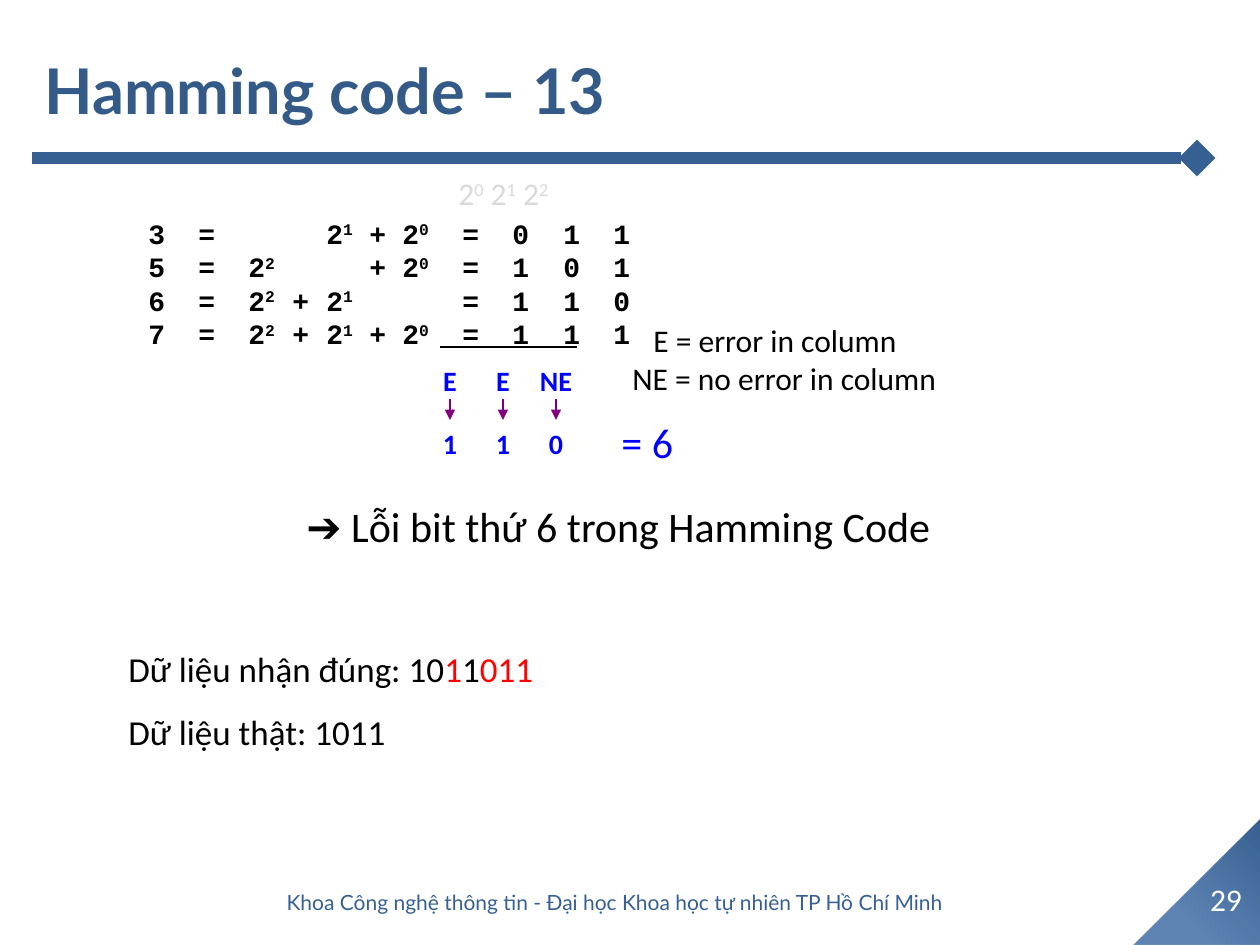
"""Build the slide that locates an error bit with a Hamming code."""
from lxml import etree
from pptx import Presentation
from pptx import util as u
from pptx.dml.color import RGBColor
from pptx.enum import shapes, text
from pptx.oxml import parse_xml
from pptx.oxml.ns import nsdecls, qn

SCALE = 914400 / 126
THEME = {
    "title": "345A88", "navy": "376092", "blue": "3D6CA4", "rule": "4477B5",
    "ink": "000000", "white": "FFFFFF", "pale": "D9D9D9", "result": "0000FF",
    "arrow": "800080", "parity": "FF0000",
    "body": "Calibri", "heading": "Lato", "mono": "Courier New",
    "huge": 36, "large": 24, "medium": 20, "normal": 18, "small": 16, "tiny": 12,
}

EQUATIONS = [
    ["3", "=", "", "", "2^1", "+", "2^0", "=", "0", "1", "1"],
    ["5", "=", "2^2", "", "", "+", "2^0", "=", "1", "0", "1"],
    ["6", "=", "2^2", "+", "2^1", "", "", "=", "1", "1", "0"],
    ["7", "=", "2^2", "+", "2^1", "+", "2^0", "=", "1", "1", "1"],
]
EQUATION_TABS = [50, 100, 144, 178, 221, 254, 314, 364, 415, 465]
CHECKS = [("E", "1"), ("E", "1"), ("NE", "0")]
CHECK_CENTER, CHECK_STEP, CHECK_WIDTH = 450, 53, 64
RECEIVED = [("Dữ liệu nhận đúng: 10", "ink"), ("1", "parity"), ("1", "ink"), ("011", "parity")]

TEXTS = [
    ((32, 10, 1206, 158), ["Hamming code – 13"],
     {"size": "huge", "font": "heading", "color": "title", "bold": True, "middle": True}),
    ((136, 210, 515, 147), ["\t".join(row) for row in EQUATIONS],
     {"size": "small", "font": "mono", "bold": True, "tabs": EQUATION_TABS}),
    ((609, 410, 84, 63), ["= 6"], {"size": "large", "color": "result"}),
    ((620, 315, 362, 89), ["E = error in column", "NE = no error in column"], {"indents": [21, 0]}),
    ((294, 494, 722, 63), ["➔ Lỗi bit thứ 6 trong Hamming Code"], {"size": "large"}),
    ((116, 620, 469, 132), [RECEIVED, "Dữ liệu thật: 1011"], {"size": "medium", "spacing": 1.5}),
    ((446, 168, 131, 50), ["2^0 2^1 2^2"], {"color": "pale"}),
    ((1192, 874, 68, 50), ["29"], {"color": "white", "center": True, "middle": True}),
    ((158, 877, 914, 50), ["Khoa Công nghệ thông tin - Đại học Khoa học tự nhiên TP Hồ Chí Minh"],
     {"size": "tiny", "font": "heading", "color": "navy", "center": True, "middle": True}),
]


def px(value):
    return u.Emu(round(value * SCALE))


def rgb(name):
    return RGBColor.from_string(THEME[name])


def add_span(para, words, size, font, color, bold, raised=False):
    if not words:
        return
    span = para.add_run()
    span.text = words
    span.font.size = u.Pt(THEME[size])
    span.font.name = THEME[font]
    span.font.bold = bold
    span.font.color.rgb = rgb(color)
    if raised:
        span.font._element.set("baseline", "30000")


def add_text(page, place, paragraphs, size="normal", font="body", color="ink", bold=False,
             center=False, middle=False, spacing=None, tabs=(), indents=()):
    """Add a text box in which ^ raises the character after it."""
    frame = page.shapes.add_textbox(*map(px, place)).text_frame
    frame.word_wrap = True
    frame.vertical_anchor = text.MSO_ANCHOR.MIDDLE if middle else text.MSO_ANCHOR.TOP
    for index, content in enumerate(paragraphs):
        para = frame.add_paragraph() if index else frame.paragraphs[0]
        para.alignment = text.PP_ALIGN.CENTER if center else text.PP_ALIGN.LEFT
        if spacing:
            para.line_spacing = spacing
        properties = para._p.get_or_add_pPr()
        if indents:
            properties.set("marL", str(px(indents[index])))
        if tabs:
            stops = etree.SubElement(properties, qn("a:tabLst"))
            for tab in tabs:
                etree.SubElement(stops, qn("a:tab"), pos=str(px(tab)), algn="l")
        for words, tint in [(content, color)] if isinstance(content, str) else content:
            first, *others = words.split("^")
            add_span(para, first, size, font, tint, bold)
            for part in others:
                add_span(para, part[0], size, font, tint, bold, raised=True)
                add_span(para, part[1:], size, font, tint, bold)


def add_line(page, start, end, color, width=1, tail=None):
    line = page.shapes.add_connector(shapes.MSO_CONNECTOR.STRAIGHT, *map(px, start + end))
    line.line.color.rgb = rgb(color)
    line.line.width = u.Pt(width)
    if tail:
        etree.SubElement(line.line._get_or_add_ln(), qn("a:tailEnd"), type=tail)
    etree.SubElement(line._element.spPr, qn("a:effectLst"))


def add_corner(page):
    corner = page.shapes.add_shape(shapes.MSO_SHAPE.RIGHT_TRIANGLE, *map(px, (1134, 819, 126, 126)))
    corner.rotation = 270
    corner.shadow.inherit = False
    corner.line.fill.background()
    gradient = parse_xml(
        f'<a:gradFill {nsdecls("a")} rotWithShape="1"><a:gsLst>'
        f'<a:gs pos="0"><a:srgbClr val="{THEME["navy"]}"/></a:gs>'
        f'<a:gs pos="68000"><a:srgbClr val="{THEME["blue"]}"><a:alpha val="83000"/></a:srgbClr></a:gs>'
        '</a:gsLst><a:path path="circle"><a:fillToRect l="100000" b="100000"/></a:path></a:gradFill>')
    corner._element.spPr.find(qn("a:prstGeom")).addnext(gradient)


def add_checks(page):
    for index, (verdict, bit) in enumerate(CHECKS):
        middle = CHECK_CENTER + index * CHECK_STEP
        for words, top in ((verdict, 357), (bit, 420)):
            add_text(page, (middle - CHECK_WIDTH / 2, top, CHECK_WIDTH, 47), [words],
                     size="small", color="result", bold=True, center=True)
        add_line(page, (middle, 399), (middle, 420), "arrow", tail="triangle")


def main():
    deck = Presentation()
    deck.slide_width, deck.slide_height = px(1260), px(945)
    page = deck.slides.add_slide(deck.slide_layouts[6])
    add_corner(page)
    add_line(page, (32, 158), (1197, 158), "navy", width=7, tail="diamond")
    for place, paragraphs, style in TEXTS:
        add_text(page, place, paragraphs, **style)
    add_checks(page)
    add_line(page, (440, 347), (577, 347), "ink")
    deck.save("out.pptx")


if __name__ == "__main__":
    main()
